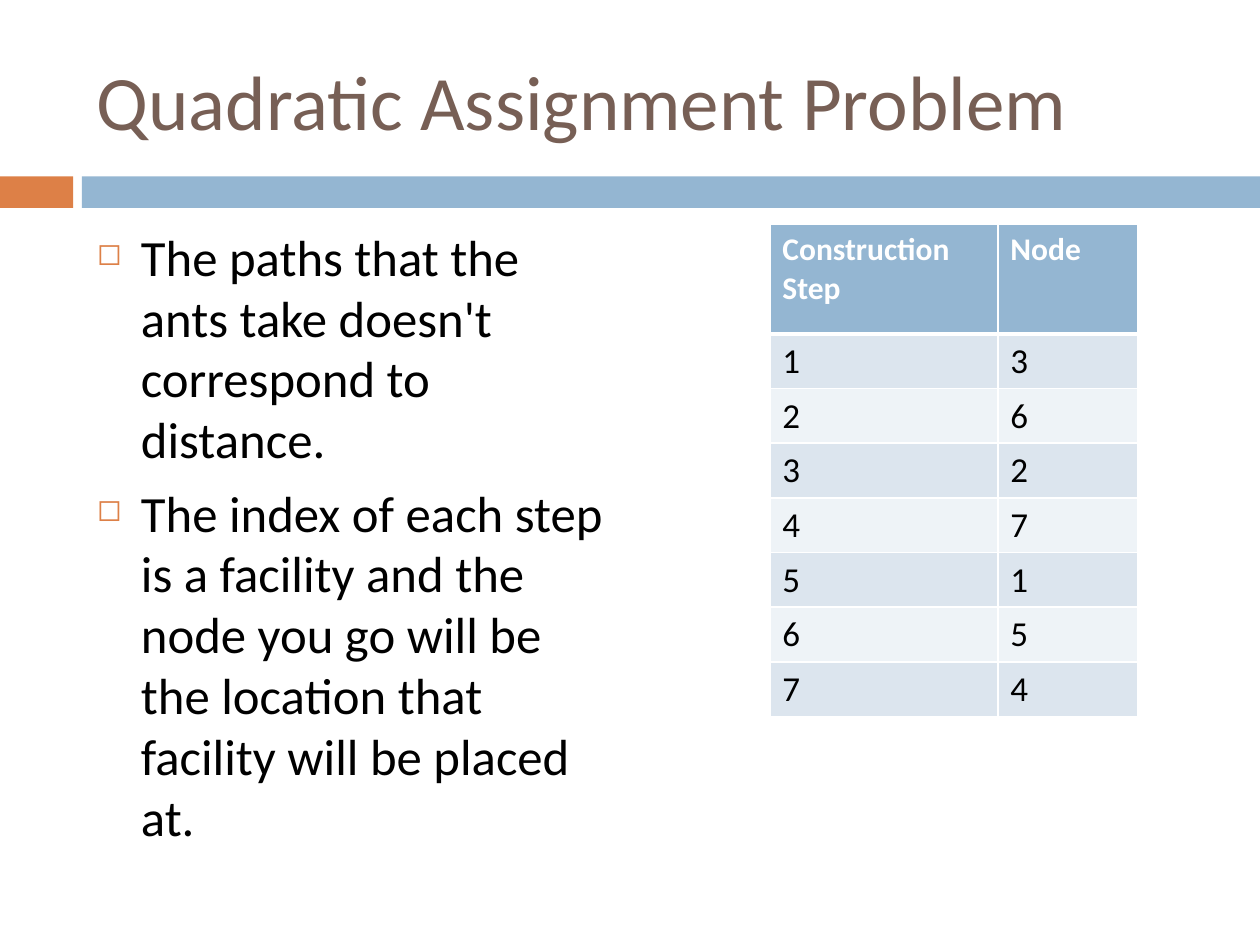
"""Build the Quadratic Assignment Problem slide."""
from lxml import etree
from pptx import Presentation
from pptx.dml.color import RGBColor
from pptx.enum.shapes import MSO_SHAPE
from pptx.enum.text import MSO_ANCHOR
from pptx.oxml.ns import qn
from pptx.util import Inches, Pt

RECTANGLE = MSO_SHAPE.RECTANGLE
MIDDLE = MSO_ANCHOR.MIDDLE
FONT = "Calibri"
COLORS = {
    "title": "775F55",
    "orange": "DD8047",
    "blue": "94B6D2",
    "text": "000000",
    "white": "FFFFFF",
    "odd row": "DCE5EE",
    "even row": "EEF3F7",
}

TITLE = "Quadratic Assignment Problem"
POINTS = [
    "The paths that the ants take doesn't correspond to distance.",
    "The index of each step is a facility and the node you go will be "
    "the location that facility will be placed at.",
]
HEADER = ("Construction\nStep", "Node")
NODES = [3, 6, 2, 7, 1, 5, 4]

BANDS = [(0, 0.58, "orange"), (0.65, 9.35, "blue")]
COLUMN_WIDTHS = (1.81, 1.11)
HEADER_HEIGHT, ROW_HEIGHT = 0.87, 0.41


def rgb(name):
    return RGBColor.from_string(COLORS[name])


def style_text(frame, size, color, bold=False):
    for para in frame.paragraphs:
        for span in para.runs:
            span.font.name = FONT
            span.font.size = Pt(size)
            span.font.bold = bold
            span.font.color.rgb = rgb(color)


def add_text(page, place, text, size, color):
    box = page.shapes.add_textbox(*map(Inches, place))
    frame = box.text_frame
    frame.word_wrap = True
    frame.text = text
    style_text(frame, size, color)
    return frame


def add_bullet(para):
    para.space_before = Pt(7)
    properties = para._p.get_or_add_pPr()
    properties.set("marL", str(Inches(0.35)))
    properties.set("indent", str(-Inches(0.35)))
    bullet_color = etree.SubElement(properties, qn("a:buClr"))
    etree.SubElement(bullet_color, qn("a:srgbClr"), val=COLORS["orange"])
    etree.SubElement(properties, qn("a:buSzPct"), val="60000")
    etree.SubElement(properties, qn("a:buChar"), char="◻")


def set_borders(cell, bottom):
    properties = cell._tc.get_or_add_tcPr()
    for side, width in (("L", 1), ("R", 1), ("T", 1), ("B", bottom)):
        line = etree.SubElement(properties, qn(f"a:ln{side}"), w=str(Pt(width)))
        fill = etree.SubElement(line, qn("a:solidFill"))
        etree.SubElement(fill, qn("a:srgbClr"), val=COLORS["white"])


def add_bands(page):
    for left, width, color in BANDS:
        band = page.shapes.add_shape(
            RECTANGLE, Inches(left), Inches(1.4), Inches(width), Inches(0.25))
        band.shadow.inherit = False
        band.fill.solid()
        band.fill.fore_color.rgb = rgb(color)
        band.line.fill.background()


def add_steps_table(page):
    rows = [HEADER] + [(str(step), str(node)) for step, node in enumerate(NODES, 1)]
    height = HEADER_HEIGHT + ROW_HEIGHT * len(NODES)
    table = page.shapes.add_table(
        len(rows), len(HEADER), Inches(6.11), Inches(1.78),
        Inches(sum(COLUMN_WIDTHS)), Inches(height)).table
    for column, width in zip(table.columns, COLUMN_WIDTHS):
        column.width = Inches(width)
    for index, values in enumerate(rows):
        is_header = index == 0
        table.rows[index].height = Inches(HEADER_HEIGHT if is_header else ROW_HEIGHT)
        row_color = "blue" if is_header else "odd row" if index % 2 else "even row"
        for cell, value in zip(table.rows[index].cells, values):
            cell.text_frame.text = value
            if is_header:
                style_text(cell.text_frame, 18, "white", bold=True)
            else:
                style_text(cell.text_frame, 20, "text")
            set_borders(cell, 3 if index == 0 else 1)
            if index == 1:
                cell._tc.tcPr.find(qn("a:lnT")).set("w", str(Pt(3)))
            cell.fill.solid()
            cell.fill.fore_color.rgb = rgb(row_color)


def main():
    deck = Presentation()
    deck.slide_width, deck.slide_height = Inches(10), Inches(7.5)
    page = deck.slides.add_slide(deck.slide_layouts[6])
    add_bands(page)
    title = add_text(page, (0.67, 0.25, 8.92, 1.08), TITLE, 44, "title")
    title.vertical_anchor = MIDDLE
    body = add_text(page, (0.67, 1.74, 4.25, 5), "\n".join(POINTS), 29, "text")
    for para in body.paragraphs:
        add_bullet(para)
    add_steps_table(page)
    deck.save("out.pptx")


if __name__ == "__main__":
    main()
